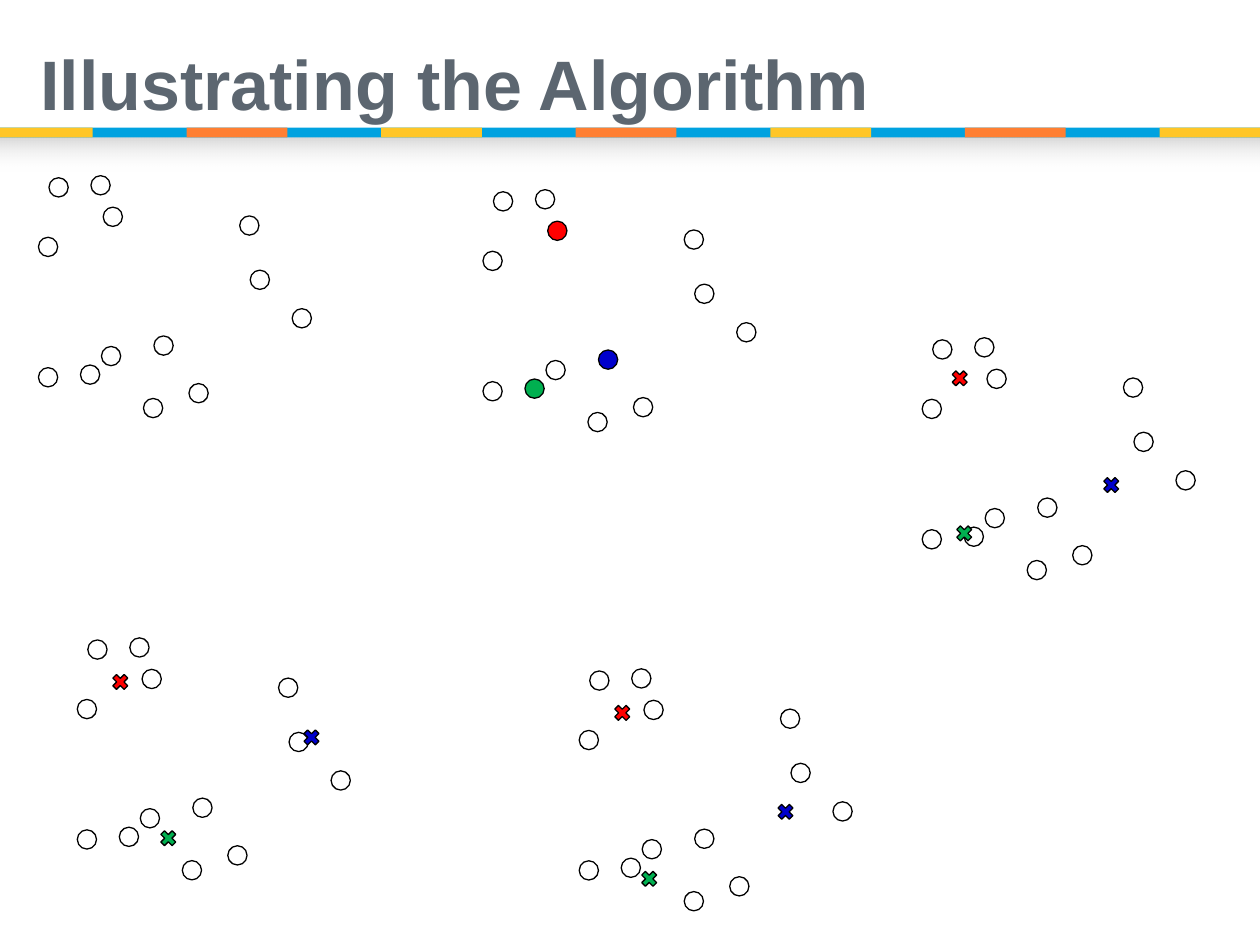
from lxml import etree
from pptx import Presentation
from pptx.dml.color import RGBColor
from pptx.enum.shapes import MSO_SHAPE
from pptx.enum.text import MSO_ANCHOR, MSO_AUTO_SIZE, PP_ALIGN
from pptx.oxml.ns import qn
from pptx.util import Pt

RECT, CIRCLE, CROSS = MSO_SHAPE.RECTANGLE, MSO_SHAPE.OVAL, MSO_SHAPE.MATH_MULTIPLY

# Content
TITLE = "Illustrating the Algorithm"
COLORS = {
    "title": "5C6670", "sky": "00A2E0", "yellow": "FFC627", "orange": "FF7F32",
    "shade": "D9D9D9", "white": "FFFFFF", "outline": "000000",
    "red": "FF0000", "blue": "0000CC", "green": "00B050",
}
# Data points, relative to the top left of each step
DATA_POINTS = [
    (115, 23), (37, 18), (6, 1.2), (30, 0), (121, 54), (0, 109.7), (0, 35.2),
    (66, 91.6), (145, 76), (36, 97.6), (86, 118.8), (60, 127.3), (24, 108.2),
]
# Each step: origin, seeds (point index to colour), centroids (colour to offset)
STEPS = [
    {"origin": (22, 100.4), "seeds": {}, "centroids": {}},
    {"origin": (276, 108.4), "seeds": {1: "red", 7: "blue", 12: "green"},
     "centroids": {}},
    {"origin": (527, 193), "seeds": {},
     "centroids": {"red": (15.2, 17), "blue": (101.8, 78), "green": (17.8, 105.6)}},
    {"origin": (331, 382.2), "seeds": {},
     "centroids": {"red": (18.4, 19), "blue": (111.7, 75.5), "green": (33.8, 113.8)}},
    {"origin": (44.2, 364.5), "seeds": {},
     "centroids": {"red": (18.4, 19), "blue": (127.6, 50.7), "green": (45.8, 108.3)}},
]
POINT_SIZE, CENTROID_SIZE = 11, 12.4
SLIDE_W, SLIDE_H = 720, 540
BAND_TOP, BAND_H = 72.9, 5.6
BLOCK_W, BLOCK_STEP, BLOCK_START, BLOCK_COUNT = 57.6, 111.2, -4.6, 7


def rgb(name):
    return RGBColor.from_string(COLORS[name])


def add_shape(shapes, kind, x, y, w, h, fill=None, line=None):
    shape = shapes.add_shape(kind, Pt(x), Pt(y), Pt(w), Pt(h))
    shape.shadow.inherit = False
    if fill:
        shape.fill.solid()
        shape.fill.fore_color.rgb = rgb(fill)
    else:
        shape.fill.background()
    if line:
        shape.line.color.rgb = rgb(line)
        shape.line.width = Pt(0.75)
    else:
        shape.line.fill.background()
    return shape


prs = Presentation()
prs.slide_width, prs.slide_height = Pt(SLIDE_W), Pt(SLIDE_H)
slide = prs.slides.add_slide(prs.slide_layouts[5])

# Title
title = slide.shapes.title
title.left, title.top, title.width, title.height = Pt(16), Pt(15), Pt(620.6), Pt(70)
frame = title.text_frame
frame.text = TITLE
frame.auto_size = MSO_AUTO_SIZE.NONE
frame.vertical_anchor = MSO_ANCHOR.MIDDLE
heading = frame.paragraphs[0]
heading.alignment = PP_ALIGN.LEFT
heading.line_spacing = 0.9
font = heading.runs[0].font
font.name, font.size, font.bold = "Arial", Pt(40), True
font.color.rgb = rgb("title")

# Fading shade below the band
shade = add_shape(slide.shapes, RECT, 0, BAND_TOP + BAND_H, SLIDE_W, 19.4)
shade.fill.gradient()
shade.fill.gradient_angle = 270
for stop, name in zip(shade.fill.gradient_stops, ("shade", "white")):
    stop.color.rgb = rgb(name)
end_color = list(shade._element.iter(qn("a:srgbClr")))[-1]
etree.SubElement(end_color, qn("a:alpha")).set("val", "0")

# Coloured band
band = slide.shapes.add_group_shape().shapes
add_shape(band, RECT, 0, BAND_TOP, SLIDE_W, BAND_H, "sky")
for i in range(BLOCK_COUNT):
    left = BLOCK_START + i * BLOCK_STEP
    start, end = max(left, 0), min(left + BLOCK_W, SLIDE_W)
    add_shape(band, RECT, start, BAND_TOP, end - start, BAND_H,
              ("yellow", "orange")[i % 2])

# Steps of the clustering
for step in STEPS:
    ox, oy = step["origin"]
    cluster = slide.shapes.add_group_shape().shapes
    for i, (x, y) in enumerate(DATA_POINTS):
        add_shape(cluster, CIRCLE, ox + x, oy + y, POINT_SIZE, POINT_SIZE,
                  step["seeds"].get(i), "outline")
    for color, (x, y) in step["centroids"].items():
        add_shape(cluster, CROSS, ox + x, oy + y, CENTROID_SIZE, CENTROID_SIZE,
                  color, "outline")

prs.save("out.pptx")
